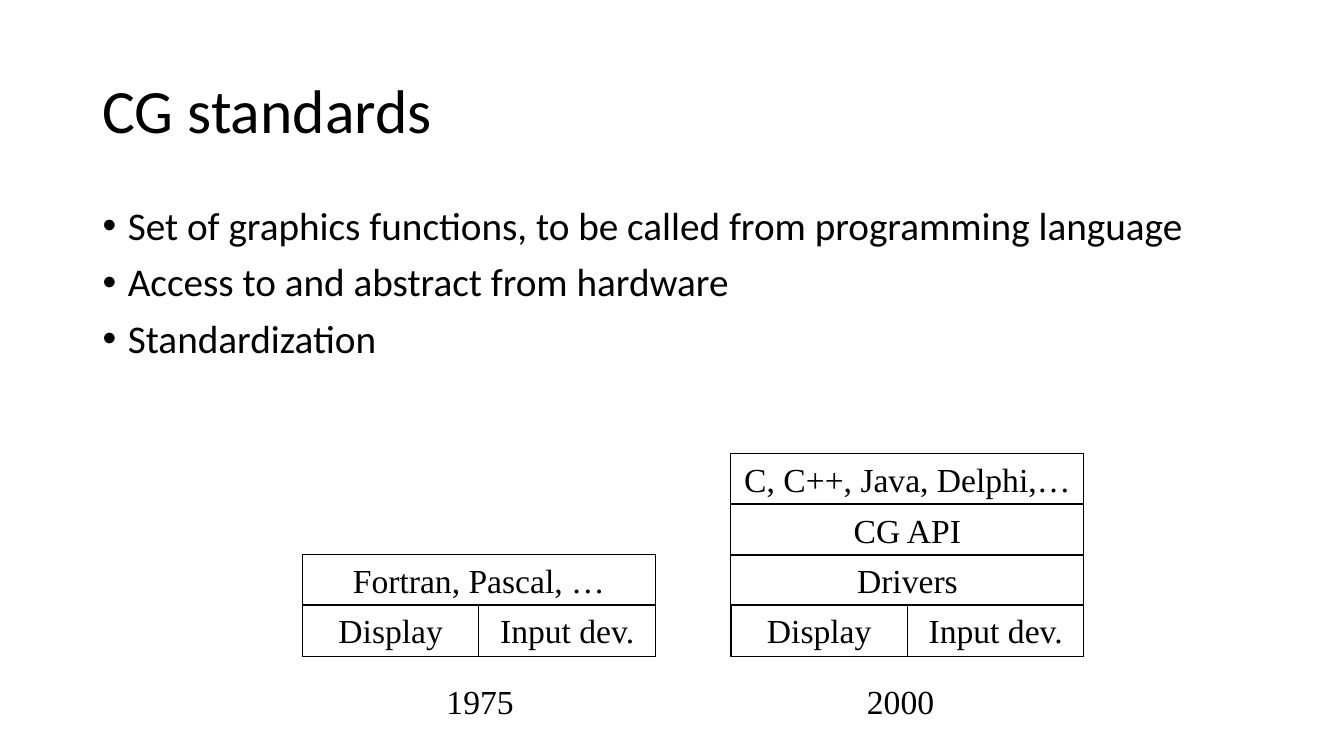
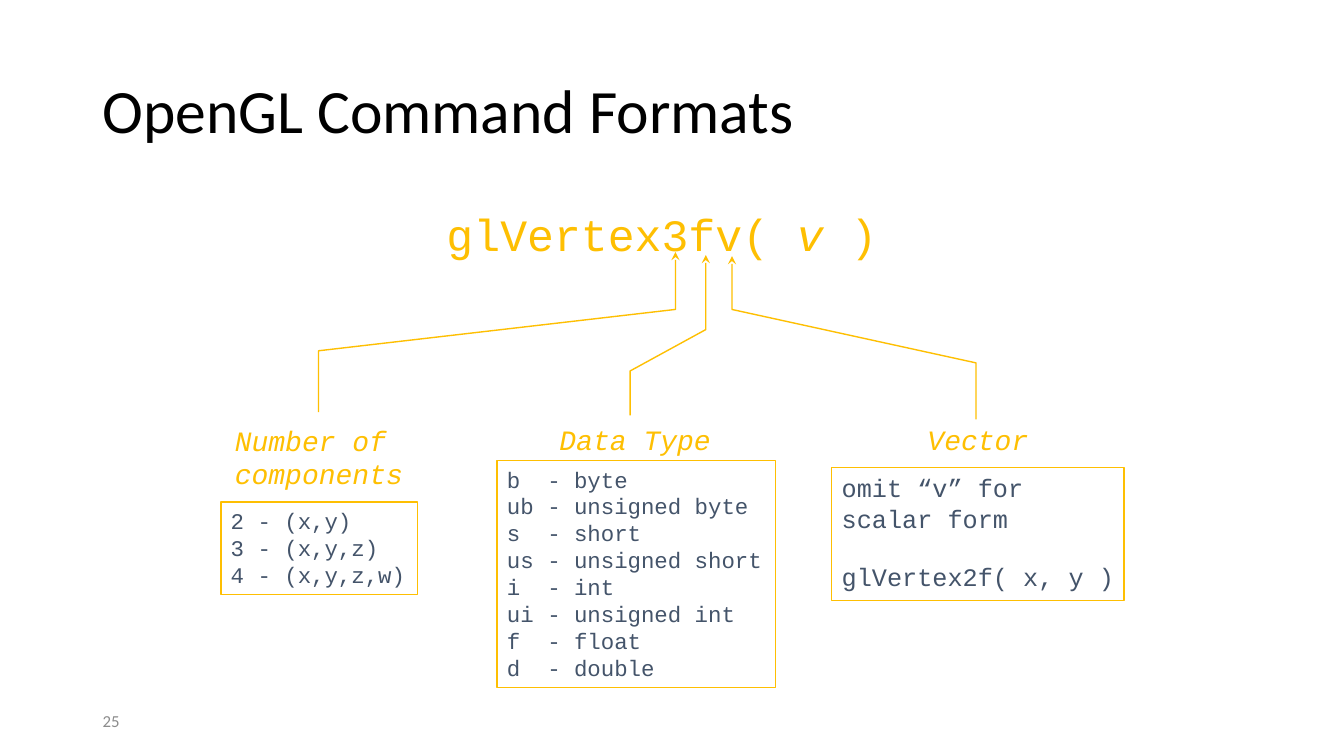
from lxml import etree
from pptx import Presentation
from pptx.dml.color import RGBColor
from pptx.enum.shapes import MSO_SHAPE
from pptx.enum.text import MSO_ANCHOR as ANCHOR, PP_ALIGN as ALIGN
from pptx.oxml.ns import qn
from pptx.util import Pt

EMU_PER_PX = 9144  # 100 px to the inch
SLIDE_SIZE = (1333, 750)
BLANK_LAYOUT = 6

BLACK = RGBColor(0x00, 0x00, 0x00)
GREY = RGBColor(0x8C, 0x8C, 0x8C)
GOLD = RGBColor(0xFE, 0xBF, 0x02)
SLATE = RGBColor(0x44, 0x54, 0x6A)

SANS = "Calibri"
SERIF = "Times New Roman"
MONO = "Courier New"

LAYER_WIDTH, LAYER_HEIGHT, LAYER_PITCH = 350, 51, 50
STACK_BOTTOM_ROW = 600


def emu(px):
    return px * EMU_PER_PX


def add_bullet(paragraph, indent):
    properties = paragraph._p.get_or_add_pPr()
    properties.set("marL", str(emu(indent)))
    properties.set("indent", str(-emu(indent)))
    etree.SubElement(properties, qn("a:buFont"), typeface="Arial")
    etree.SubElement(properties, qn("a:buChar"), char="•")


def add_tab_stop(paragraph, position):
    tabs = etree.SubElement(paragraph._p.get_or_add_pPr(), qn("a:tabLst"))
    etree.SubElement(tabs, qn("a:tab"), pos=str(emu(position)), algn="l")


def write(shape, paragraphs, *, font=SANS, size=24, color=BLACK, italic=False,
          align=ALIGN.LEFT, anchor=ANCHOR.TOP, wrap=False, line_spacing=None,
          gaps=(), bullet_indent=None, tab_stop=None):
    """Fill a shape; a paragraph is a string, or a tuple whose odd pieces are italic.

    gaps maps the points of space before to each paragraph after the first.
    """
    frame = shape.text_frame
    frame.word_wrap = wrap
    frame.vertical_anchor = anchor
    for index, pieces in enumerate(paragraphs):
        paragraph = frame.add_paragraph() if index else frame.paragraphs[0]
        paragraph.alignment = align
        if line_spacing:
            paragraph.line_spacing = line_spacing
        if index and gaps:
            paragraph.space_before = Pt(gaps[index - 1])
        if bullet_indent:
            add_bullet(paragraph, bullet_indent)
        if tab_stop:
            add_tab_stop(paragraph, tab_stop)
        if isinstance(pieces, str):
            pieces = (pieces,)
        for position, piece in enumerate(pieces):
            run = paragraph.add_run()
            run.text = piece
            run.font.name = font
            run.font.size = Pt(size)
            run.font.italic = italic or position % 2 == 1
            run.font.color.rgb = color


class Deck:
    def __init__(self):
        self.presentation = Presentation()
        self.presentation.slide_width, self.presentation.slide_height = map(emu, SLIDE_SIZE)
        self.slide = None

    def new_slide(self, title):
        layout = self.presentation.slide_layouts[BLANK_LAYOUT]
        self.slide = self.presentation.slides.add_slide(layout)
        self.text((92, 40, 1150, 145), title, size=44, anchor=ANCHOR.MIDDLE,
                  wrap=True, line_spacing=0.9)

    def text(self, box, *paragraphs, **style):
        write(self.slide.shapes.add_textbox(*map(emu, box)), paragraphs, **style)

    def bullets(self, box, *items):
        self.text(box, *items, size=28, wrap=True, line_spacing=0.9,
                  gaps=[10] * (len(items) - 1), bullet_indent=25)

    def outline(self, shape, color, width):
        shape.shadow.inherit = False
        shape.fill.background()
        shape.line.color.rgb = color
        shape.line.width = Pt(width)

    def frame(self, box, *paragraphs, line=GOLD, line_width=1, **style):
        """Add an outlined rectangle with text."""
        shape = self.slide.shapes.add_shape(MSO_SHAPE.RECTANGLE, *map(emu, box))
        self.outline(shape, line, line_width)
        write(shape, paragraphs, **style)

    def stack(self, left, *rows):
        """Pile up rows, top first, each split evenly among its labels."""
        top = STACK_BOTTOM_ROW - LAYER_PITCH * (len(rows) - 1)
        for row, labels in enumerate(rows):
            width = LAYER_WIDTH // len(labels)
            for column, label in enumerate(labels):
                box = (left + column * width, top + row * LAYER_PITCH, width, LAYER_HEIGHT)
                self.frame(box, label, line=BLACK, line_width=0.75, font=SERIF,
                           align=ALIGN.CENTER, anchor=ANCHOR.MIDDLE)

    def bent_arrow(self, tip, *bends):
        builder = self.slide.shapes.build_freeform(*map(emu, tip))
        builder.add_line_segments([tuple(map(emu, bend)) for bend in bends], close=False)
        shape = builder.convert_to_shape()
        self.outline(shape, GOLD, 1)
        etree.SubElement(shape.line._get_or_add_ln(), qn("a:headEnd"), type="stealth")

    def heading(self, box, *lines):
        self.text(box, *lines, font=MONO, size=20, color=GOLD, italic=True)

    def code_frame(self, box, *lines, size=16, **style):
        self.frame(box, *lines, font=MONO, size=size, color=SLATE, **style)

    def page_number(self, number):
        self.text((92, 695, 300, 40), number, size=12, color=GREY, anchor=ANCHOR.MIDDLE)


def build_standards(deck):
    deck.new_slide("CG standards")
    deck.bullets((92, 200, 1150, 476),
                 "Set of graphics functions, to be called from programming language",
                 "Access to and abstract from hardware",
                 "Standardization")
    devices = ("Display", "Input dev.")
    deck.stack(300, ("Fortran, Pascal, …",), devices)
    deck.stack(725, ("C, C++, Java, Delphi,…",), ("CG API",), ("Drivers",), devices)
    for left, year in ((433, "1975"), (850, "2000")):
        deck.text((left, 671, 87, 50), year, font=SERIF)


def build_command_formats(deck):
    deck.new_slide("OpenGL Command Formats")
    deck.text((433, 200, 452, 64), ("glVertex3fv( ", "v", " )"),
              font=MONO, size=32, color=GOLD)

    deck.bent_arrow((670, 250), (670, 307), (316, 348), (316, 409))
    deck.bent_arrow((700, 253), (700, 327), (625, 368), (625, 412))
    deck.bent_arrow((726, 254), (726, 307), (968, 360), (968, 416))

    deck.heading((223, 415, 189, 77), "Number of", "components")
    deck.code_frame((219, 498, 195, 92), "2 - (x,y)", "3 - (x,y,z)", "4 - (x,y,z,w)")

    deck.heading((545, 414, 172, 44), "Data Type")
    type_suffixes = {
        "b": "byte", "ub": "unsigned byte",
        "s": "short", "us": "unsigned short",
        "i": "int", "ui": "unsigned int",
        "f": "float", "d": "double",
    }
    deck.code_frame((493, 457, 276, 225),
                    *(f"{suffix}\t- {name}" for suffix, name in type_suffixes.items()),
                    tab_stop=40)

    deck.heading((910, 414, 121, 44), "Vector")
    deck.code_frame((825, 464, 290, 132),
                    "omit “v” for", "scalar form", "glVertex2f( x, y )",
                    size=18, gaps=(0, 20.4))
    deck.page_number("25")


def main():
    deck = Deck()
    build_standards(deck)
    build_command_formats(deck)
    deck.presentation.save("out.pptx")


if __name__ == "__main__":
    main()
